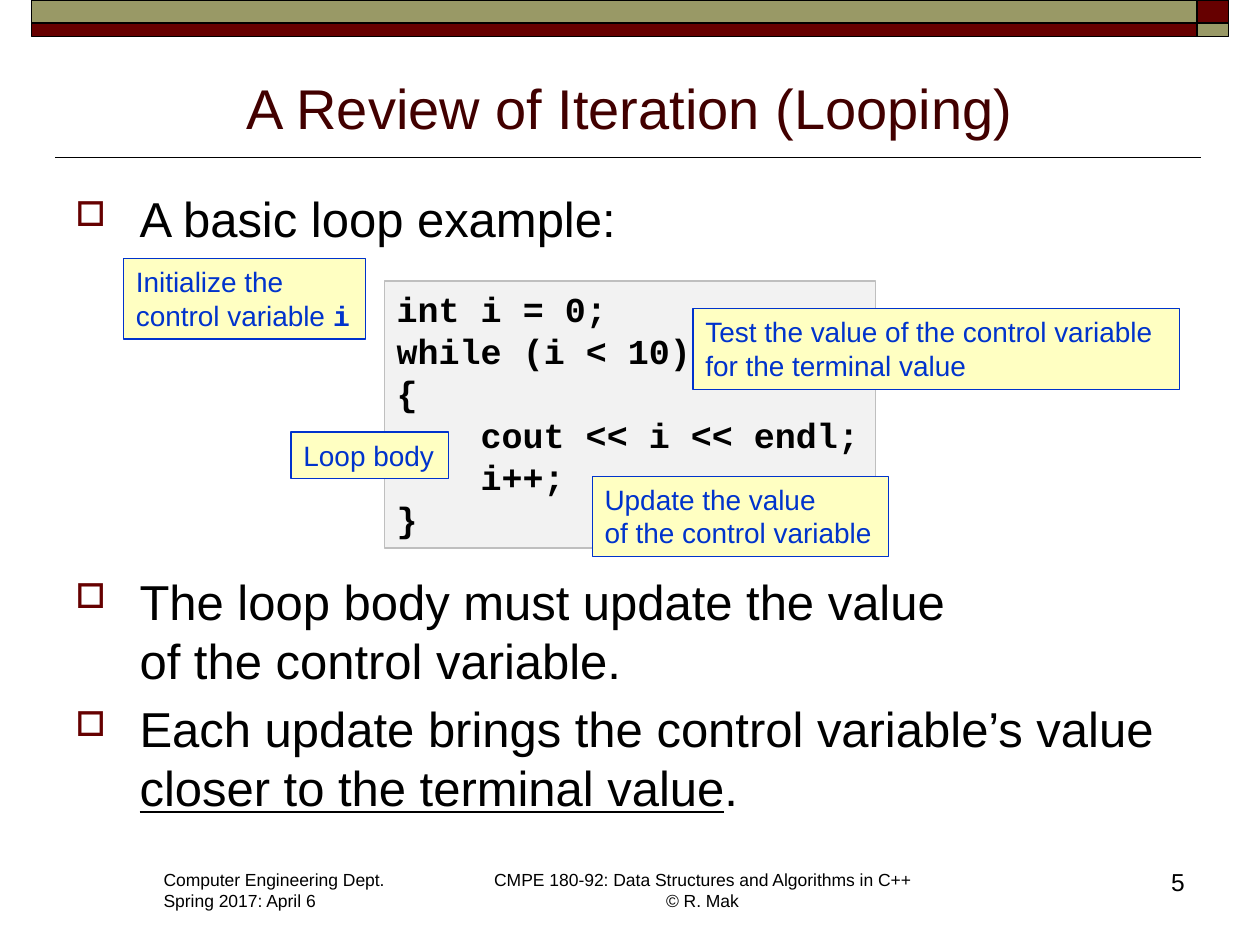
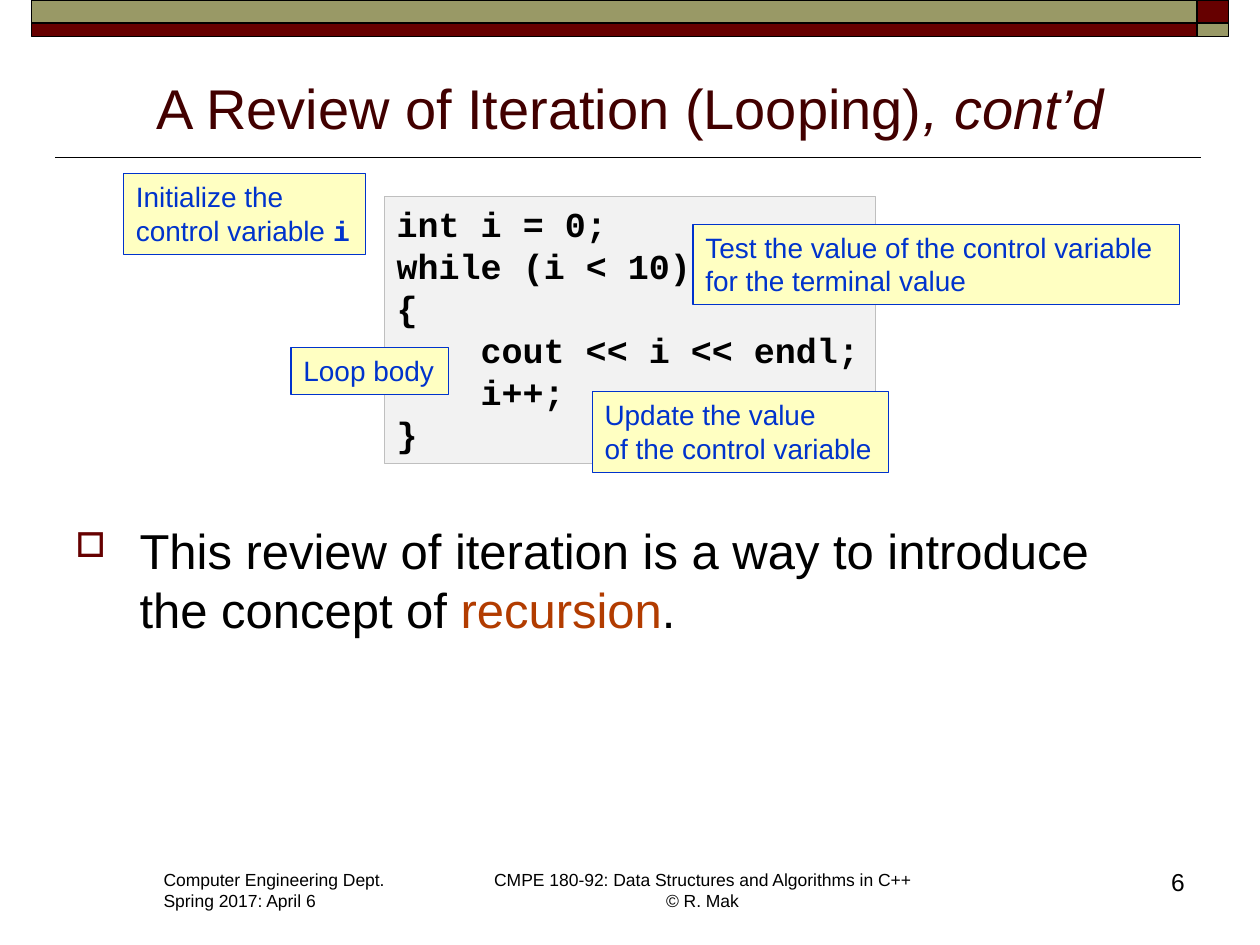
import dataclasses

import lxml.etree
import pptx
import pptx.dml.color
import pptx.enum.shapes
import pptx.enum.text
import pptx.oxml.ns
import pptx.util

COLUMNS, ROWS = 100, 75  # square grid cells, a tenth of an inch each
CELL = pptx.util.Inches(0.1)

BLACK, MAROON, OLIVE, TITLE_RED = "000000", "660000", "999966", "420000"
BLUE, PALE_YELLOW, GREY, PALE_GREY, RUST = "0033CC", "FFFFC2", "BFBFBF", "F2F2F2", "B23C00"
SANS, MONO = "Arial", "Courier New"
ALIGN = pptx.enum.text.PP_ALIGN
AUTO_SIZE = pptx.enum.text.MSO_AUTO_SIZE
ANCHOR = pptx.enum.text.MSO_ANCHOR
RECTANGLE = pptx.enum.shapes.MSO_SHAPE.RECTANGLE

CODE = [("int i = 0;", 0), ("while (i < 10)", 0), ("{", 0),
        ("cout << i << endl;", 1), ("i++;", 1), ("}", 0)]
CODE_INDENT = 48  # four characters of 20 point Courier New
BODY_SIZE = 28
BULLET_GAP = 0.2 * BODY_SIZE
EXAMPLE_GAP = 185  # room in the bullet list for the loop example


@dataclasses.dataclass
class Box:
    """A region measured in grid columns and rows."""
    left: float
    top: float
    width: float
    height: float

    def inner(self, column, row, width, height):
        return Box(self.left + column, self.top + row, width, height)

    def lengths(self):
        return [round(cells * CELL) for cells in dataclasses.astuple(self)]


@dataclasses.dataclass
class Style:
    size: float
    color: str = BLACK
    font: str = SANS
    bold: bool = False
    italic: bool = False
    underline: bool = False

    def but(self, **changes):
        return dataclasses.replace(self, **changes)


TITLE = Style(32, TITLE_RED)
BODY = Style(BODY_SIZE)
CALLOUT = Style(16, BLUE)
CODE_STYLE = Style(20, font=MONO, bold=True)
FOOTER = Style(10)
PAGE_NUMBER = Style(14)


def rgb(color):
    return pptx.dml.color.RGBColor.from_string(color)


def write_paragraph(paragraph, pieces, align=ALIGN.LEFT):
    """Fill a paragraph from (text, style) pieces; a newline is a line break."""
    paragraph.alignment = align
    for text, style in pieces:
        for number, line in enumerate(text.split("\n")):
            if number:
                paragraph.add_line_break()
            run = paragraph.add_run()
            run.text = line
            font = run.font
            font.size = pptx.util.Pt(style.size)
            font.name = style.font
            font.color.rgb = rgb(style.color)
            font.bold, font.italic, font.underline = style.bold, style.italic, style.underline


def write_paragraphs(frame, paragraphs, align=ALIGN.LEFT):
    for number, pieces in enumerate(paragraphs):
        paragraph = frame.add_paragraph() if number else frame.paragraphs[0]
        write_paragraph(paragraph, pieces, align)


def add_rectangle(slide, box, fill, line, line_width):
    rectangle = slide.shapes.add_shape(RECTANGLE, *box.lengths())
    rectangle.shadow.inherit = False
    rectangle.fill.solid()
    rectangle.fill.fore_color.rgb = rgb(fill)
    rectangle.line.color.rgb = rgb(line)
    rectangle.line.width = pptx.util.Pt(line_width)
    return rectangle


def fit_to_text(frame):
    frame.word_wrap = False
    frame.auto_size = AUTO_SIZE.SHAPE_TO_FIT_TEXT
    frame.vertical_anchor = ANCHOR.TOP


def add_text(slide, box, paragraphs, align=ALIGN.LEFT, fitted=False):
    frame = slide.shapes.add_textbox(*box.lengths()).text_frame
    frame.word_wrap = True
    if fitted:
        fit_to_text(frame)
    write_paragraphs(frame, paragraphs, align)
    return frame


def add_header_band(slide, box):
    corner, upper = 2.5, 1.8
    main, lower = box.width - corner, box.height - upper
    for column, row, width, height, fill in [
            (main, 0, corner, upper, MAROON), (0, 0, main, upper, OLIVE),
            (0, upper, main, lower, MAROON), (main, upper, corner, lower, OLIVE)]:
        add_rectangle(slide, box.inner(column, row, width, height), fill, BLACK, 1)


def add_title(slide, box, pieces):
    title = slide.shapes.title
    title.left, title.top, title.width, title.height = box.lengths()
    frame = title.text_frame
    frame.auto_size = AUTO_SIZE.NONE
    frame.vertical_anchor = ANCHOR.BOTTOM
    write_paragraph(frame.paragraphs[0], pieces, ALIGN.CENTER)

    left, top, width, _ = box.inner(-0.6, 8, 90.9, 0).lengths()
    rule = slide.shapes.add_connector(
        pptx.enum.shapes.MSO_CONNECTOR.STRAIGHT, left + width, top, left, top)
    rule.line.color.rgb = rgb(BLACK)
    rule.line.width = pptx.util.Pt(1)
    lxml.etree.SubElement(rule._element.spPr, pptx.oxml.ns.qn("a:effectLst"))


def add_footer(slide, box, page):
    add_text(slide, box.inner(0, 0.2, 19.7, 4.4),
             [[("Computer Engineering Dept.", FOOTER)], [("Spring 2017: April 6", FOOTER)]],
             fitted=True)
    add_text(slide, box.inner(26, 0.2, 35.5, 4.4),
             [[("CMPE 180-92: Data Structures and Algorithms in C++\n© R. Mak", FOOTER)]],
             ALIGN.CENTER, fitted=True)
    add_text(slide, box.inner(62.2, 0, 20.8, 5), [[(str(page), PAGE_NUMBER)]], ALIGN.RIGHT)


def add_square_bullet(paragraph):
    properties = paragraph._p.get_or_add_pPr()
    hang = pptx.util.Inches(0.51)
    properties.set("marL", str(hang))
    properties.set("indent", str(-hang))
    qn = pptx.oxml.ns.qn
    color = lxml.etree.SubElement(properties, qn("a:buClr"))
    lxml.etree.SubElement(color, qn("a:srgbClr"), val=MAROON)
    lxml.etree.SubElement(properties, qn("a:buSzPct"), val="70000")
    lxml.etree.SubElement(properties, qn("a:buChar"), char="□")


def add_bullets(slide, box, bullets):
    """Add a list of (space before in points, pieces) bullets."""
    frame = add_text(slide, box, [pieces for _, pieces in bullets])
    for paragraph, (gap, _) in zip(frame.paragraphs, bullets):
        paragraph.space_before = pptx.util.Pt(gap)
        add_square_bullet(paragraph)


def add_loop_example(slide, box):
    """Add the code listing with its four callouts."""
    listing = add_rectangle(slide, box.inner(20.7, 1.8, 39, 21.2), PALE_GREY, GREY, 0.75)
    fit_to_text(listing.text_frame)
    write_paragraphs(listing.text_frame, [[(line, CODE_STYLE)] for line, _ in CODE])
    for paragraph, (_, depth) in zip(listing.text_frame.paragraphs, CODE):
        if depth:
            paragraph._p.get_or_add_pPr().set("marL", str(pptx.util.Pt(CODE_INDENT * depth)))

    one_line, two_lines = 3.7, 6.4
    variable = CALLOUT.but(font=MONO, bold=True)
    for place, lines in [
            ((0, 0, 19.2, two_lines),
             [[("Initialize the", CALLOUT)], [("control variable ", CALLOUT), ("i", variable)]]),
            ((45.2, 4, 38.6, two_lines),
             [[("Test the value of the control variable", CALLOUT)],
              [("for the terminal value", CALLOUT)]]),
            ((13.3, 13.8, 12.5, one_line), [[("Loop body", CALLOUT)]]),
            ((37.2, 17.3, 23.5, two_lines),
             [[("Update the value", CALLOUT)], [("of the control variable", CALLOUT)]])]:
        callout = add_rectangle(slide, box.inner(*place), PALE_YELLOW, BLUE, 0.75)
        fit_to_text(callout.text_frame)
        write_paragraphs(callout.text_frame, lines)


def add_loop_slide(deck, page, title, bullet_box, bullets, example_top):
    slide = deck.slides.add_slide(deck.slide_layouts.get_by_name("Title Only"))
    add_header_band(slide, Box(2.5, 0, COLUMNS - 5, 2.9))
    add_title(slide, Box(5, 4.5, COLUMNS - 10, 7.2), title)
    add_bullets(slide, bullet_box, bullets)
    add_footer(slide, Box(12, 68.3, 83, 5), page)
    add_loop_example(slide, Box(9.8, example_top, 83.8, 23.7))


def main():
    deck = pptx.Presentation()
    deck.slide_width, deck.slide_height = COLUMNS * CELL, ROWS * CELL
    heading = ("A Review of Iteration (Looping)", TITLE)

    add_loop_slide(
        deck, 5, [heading], Box(5, 14.5, 90, 53),
        [(BULLET_GAP, [("A basic loop example:", BODY)]),
         (EXAMPLE_GAP, [("The loop body must update the value\nof the control variable.", BODY)]),
         (BULLET_GAP, [("Each update brings the control variable’s value ", BODY),
                       ("closer to the terminal value", BODY.but(underline=True)),
                       (".", BODY)])],
        example_top=20.5)

    add_loop_slide(
        deck, 6, [heading, (", cont’d", TITLE.but(italic=True))], Box(5, 40.8, 90, 26.3),
        [(BULLET_GAP, [("This review of iteration is a way to introduce\nthe concept of ", BODY),
                       ("recursion", BODY.but(color=RUST)), (".", BODY)])],
        example_top=13.8)

    deck.save("out.pptx")


if __name__ == "__main__":
    main()
